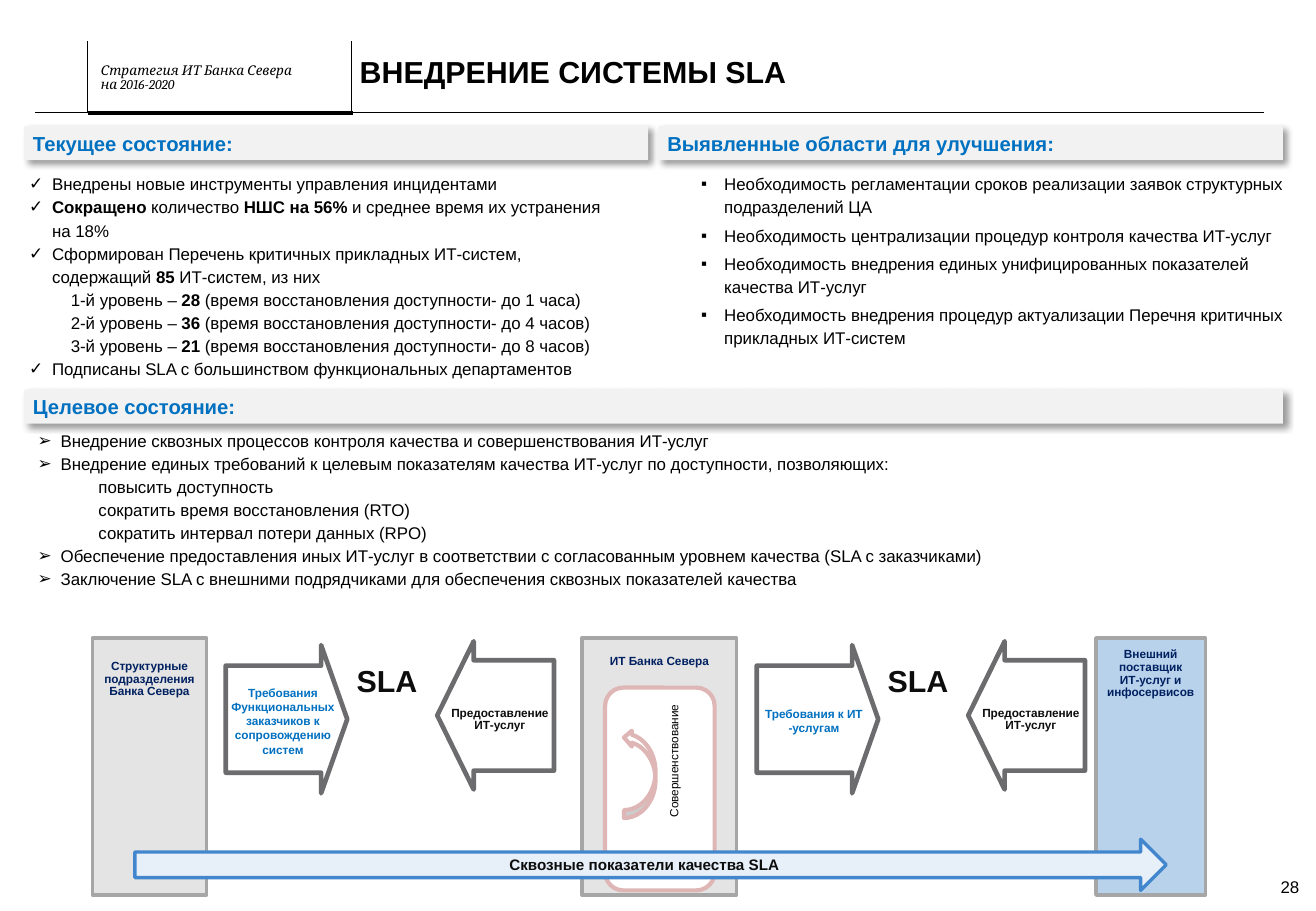
from lxml import etree
from pptx import Presentation
from pptx.dml.color import RGBColor
from pptx.enum.shapes import MSO_CONNECTOR, MSO_SHAPE
from pptx.enum.text import MSO_ANCHOR, MSO_AUTO_SIZE, PP_ALIGN
from pptx.oxml import parse_xml
from pptx.oxml.ns import nsdecls, qn
from pptx.util import Cm, Pt

LEFT, CENTER = PP_ALIGN.LEFT, PP_ALIGN.CENTER
TOP, MIDDLE = MSO_ANCHOR.TOP, MSO_ANCHOR.MIDDLE
NO_AUTOFIT = MSO_AUTO_SIZE.NONE
STRAIGHT = MSO_CONNECTOR.STRAIGHT
RECTANGLE, ROUNDED = MSO_SHAPE.RECTANGLE, MSO_SHAPE.ROUNDED_RECTANGLE
ARROW, CYCLE = MSO_SHAPE.RIGHT_ARROW, MSO_SHAPE.CURVED_UP_ARROW

COLORS = {
    "black": "000000", "ink": "0D0D0D", "blue": "0070C0", "navy": "002060",
    "white": "FFFFFF", "band": "F2F2F2", "block": "E4E4E4", "supplier": "B8D2EC",
    "block_line": "A6A6A6", "arrow_line": "6C6C6E", "cycle_line": "DEB6B5",
    "ribbon": "E7F0F9", "ribbon_line": "4287CD",
}
SUBITEM = ""
EXCHANGE_STEP = 11.1

HEADER_RULES = [
    ((1.83, 2.34), (0.74, 2.34), 0.25),
    ((7.37, 2.36), (1.83, 2.36), 2.25),
    ((26.42, 2.34), (7.32, 2.34), 0.25),
    ((1.83, 2.36), (1.83, 0.86), 0.25),
    ((7.34, 2.36), (7.34, 0.86), 0.25),
]
SECTIONS = [
    ("Текущее состояние:", (0.51, 2.64, 13.04, 0.71)),
    ("Выявленные области для улучшения:", (13.77, 2.64, 13.05, 0.71)),
    ("Целевое состояние:", (0.51, 8.15, 26.31, 0.71)),
]
CURRENT_STATE = [
    ("✓", "Внедрены новые инструменты управления инцидентами"),
    ("✓", "**Сокращено** количество **НШС на 56% **и среднее время их устранения на 18%"),
    ("✓", "Сформирован Перечень критичных прикладных ИТ-систем, "
          "содержащий **85** ИТ-систем, из них"),
    (SUBITEM, "1-й уровень – **28 **(время восстановления доступности- до 1 часа)"),
    (SUBITEM, "2-й уровень – **36 **(время восстановления доступности- до 4 часов)"),
    (SUBITEM, "3-й уровень – **21 **(время восстановления доступности- до 8 часов)"),
    ("✓", "Подписаны SLA с большинством функциональных департаментов"),
]
IMPROVEMENTS = [
    ("▪", "Необходимость регламентации сроков реализации заявок структурных подразделений ЦА"),
    ("▪", "Необходимость централизации процедур контроля качества ИТ-услуг"),
    ("▪", "Необходимость внедрения единых унифицированных показателей качества ИТ-услуг"),
    ("▪", "Необходимость внедрения процедур актуализации Перечня критичных "
          "прикладных ИТ-систем"),
]
TARGET_STATE = [
    ("➢", "Внедрение сквозных процессов контроля качества и совершенствования ИТ-услуг"),
    ("➢", "Внедрение единых требований к целевым показателям качества ИТ-услуг "
          "по доступности, позволяющих:"),
    (SUBITEM, "повысить доступность"),
    (SUBITEM, "сократить время восстановления (RTO)"),
    (SUBITEM, "сократить интервал потери данных (RPO)"),
    ("➢", "Обеспечение предоставления иных ИТ-услуг в соответствии с согласованным "
          "уровнем качества (SLA с заказчиками)"),
    ("➢", "Заключение SLA с внешними подрядчиками для обеспечения сквозных "
          "показателей качества"),
]
PARTIES = [
    (["ИТ Банка Севера"], 12.17, 3.23, "block", 0.37),
    (["Структурные подразделения Банка Севера"], 1.93, 2.39, "block", 0.47),
    (["Внешний поставщик", "ИТ-услуг и инфосервисов"], 22.91, 2.29, "supplier", 0.22),
]
DEMANDS = [
    "Требования Функциональных заказчиков к сопровождению систем",
    "Требования к ИТ -услугам",
]


def rgb(name):
    """Return the named colour."""
    return RGBColor.from_string(COLORS[name])


def set_frame(frame, margins=(0, 0, 0, 0), anchor=TOP):
    """Set margins, anchor and wrapping of a text frame."""
    frame.word_wrap = True
    frame.auto_size = NO_AUTOFIT
    frame.vertical_anchor = anchor
    frame.margin_left, frame.margin_top, frame.margin_right, frame.margin_bottom = map(Cm, margins)


def style(paragraph, size, color="black", bold=False, italic=False,
          align=LEFT, spacing=1.0, font="Arial"):
    """Format a whole paragraph."""
    paragraph.alignment = align
    paragraph.line_spacing = spacing
    paragraph.font.size = Pt(size)
    paragraph.font.name = font
    paragraph.font.bold = bold
    paragraph.font.italic = italic
    paragraph.font.color.rgb = rgb(color)


def write(frame, lines, **look):
    """Write equally formatted paragraphs into a frame."""
    for index, line in enumerate(lines):
        paragraph = frame.add_paragraph() if index else frame.paragraphs[0]
        paragraph.text = line
        style(paragraph, **look)


def add_label(slide, box, lines, anchor=TOP, rotation=0, **look):
    """Add a text box with plain paragraphs."""
    label = slide.shapes.add_textbox(*map(Cm, box))
    label.rotation = rotation
    set_frame(label.text_frame, anchor=anchor)
    write(label.text_frame, lines, **look)


def add_figure(slide, kind, box, fill, line=None, width=2, rotation=0, adjust=()):
    """Add a filled preset shape with an optional outline."""
    figure = slide.shapes.add_shape(kind, *map(Cm, box))
    figure.shadow.inherit = False
    figure.rotation = rotation
    figure.fill.solid()
    figure.fill.fore_color.rgb = rgb(fill)
    if line:
        figure.line.color.rgb = rgb(line)
        figure.line.width = Pt(width)
    else:
        figure.line.fill.background()
    for index, value in enumerate(adjust):
        figure.adjustments[index] = value
    return figure


def add_rule(slide, start, end, width):
    """Add a straight black line."""
    rule = slide.shapes.add_connector(STRAIGHT, *map(Cm, start + end))
    rule.line.color.rgb = rgb("black")
    rule.line.width = Pt(width)
    etree.SubElement(rule._element.spPr, qn("a:effectLst"))


def add_section(slide, heading, box):
    """Add a section band with a soft shadow."""
    band = add_figure(slide, RECTANGLE, box, "band")
    effects = band._element.spPr.find(qn("a:effectLst"))
    effects.append(parse_xml(
        f'<a:outerShdw {nsdecls("a")} blurRad="{Pt(4)}" dist="{Pt(3)}" dir="2700000" '
        'algn="tl" rotWithShape="0"><a:srgbClr val="000000"><a:alpha val="40000"/>'
        '</a:srgbClr></a:outerShdw>'))
    set_frame(band.text_frame, (0.18, 0.1, 0.18, 0.1))
    write(band.text_frame, [heading], size=12, color="blue", bold=True)


def add_list(slide, box, items, sub_indent=0, gap=0):
    """Add a bulleted list where ** switches bold on and off."""
    frame = slide.shapes.add_textbox(*map(Cm, box)).text_frame
    set_frame(frame)
    for index, (mark, text) in enumerate(items):
        paragraph = frame.add_paragraph() if index else frame.paragraphs[0]
        properties = paragraph._p.get_or_add_pPr()
        properties.set("marL", str(Cm(0.48 if mark else sub_indent)))
        properties.set("indent", str(Cm(-0.48 if mark else 0)))
        if mark:
            etree.SubElement(properties, qn("a:buFont")).set("typeface", "Arial")
            etree.SubElement(properties, qn("a:buChar")).set("char", mark)
        style(paragraph, 10, spacing=1.14)
        paragraph.space_after = Pt(gap)
        for position, part in enumerate(text.split("**")):
            if part:
                run = paragraph.add_run()
                run.text = part
                if position % 2:
                    run.font.bold = True


def add_party(slide, lines, left, width, fill, top_margin):
    """Add the tall block of one party to the agreements."""
    party = add_figure(slide, RECTANGLE, (left, 13.34, width, 5.38), fill, "block_line")
    set_frame(party.text_frame, (0, top_margin, 0, 0))
    write(party.text_frame, lines, size=7, color="navy", bold=True, align=CENTER, spacing=0.9)


def add_exchange(slide, shift, demand):
    """Add a pair of opposing arrows with the SLA between them."""
    small = {"size": 7, "bold": True, "align": CENTER, "anchor": MIDDLE}
    add_figure(slide, ARROW, (4.72 + shift, 13.49, 2.54, 3.1), "white", "arrow_line", 2.75,
               adjust=(0.722, 0.215))
    add_label(slide, (4.57 + shift, 14.05, 2.69, 2.06), [demand], color="blue", **small)
    add_label(slide, (7.19 + shift, 13.94, 1.8, 0.43), ["SLA"], size=18, color="ink",
              bold=True, align=CENTER, spacing=0.9)
    add_figure(slide, ARROW, (9.14 + shift, 13.41, 2.44, 3.1), "white", "arrow_line", 2.75,
               rotation=180, adjust=(0.745, 0.312))
    add_label(slide, (9.42 + shift, 14.02, 2.06, 2.06), ["Предоставление ИТ-услуг"],
              color="ink", spacing=0.9, **small)


def add_title(slide, text):
    """Place and format the slide title."""
    title = slide.shapes.title
    title.left, title.top, title.width, title.height = map(Cm, (7.52, 0.91, 18.44, 1.24))
    set_frame(title.text_frame, anchor=MIDDLE)
    write(title.text_frame, [text], size=18, bold=True, spacing=0.9)


def main():
    """Build the slide and save it."""
    deck = Presentation()
    deck.slide_width, deck.slide_height = Cm(27.51), Cm(19.05)
    slide = deck.slides.add_slide(deck.slide_layouts[5])
    for rule in HEADER_RULES:
        add_rule(slide, *rule)
    add_label(slide, (2.11, 1.35, 5.16, 0.58), ["Стратегия ИТ Банка Севера", "на 2016-2020"],
              anchor=MIDDLE, size=8, italic=True, spacing=0.85, font="Cambria")
    add_title(slide, "ВНЕДРЕНИЕ СИСТЕМЫ SLA")
    add_label(slide, (26.42, 18.03, 1.09, 1.02), ["28"], anchor=MIDDLE, size=10, align=CENTER)
    for heading, box in SECTIONS:
        add_section(slide, heading, box)
    add_list(slide, (0.61, 3.58, 12.27, 5.08), CURRENT_STATE, sub_indent=0.87)
    add_list(slide, (14.66, 3.58, 12.19, 4.06), IMPROVEMENTS, gap=3)
    add_list(slide, (0.79, 8.94, 26.49, 3.43), TARGET_STATE, sub_indent=1.27)
    for party in PARTIES:
        add_party(slide, *party)
    add_figure(slide, ROUNDED, (12.65, 14.38, 2.29, 4.24), "white", "cycle_line", 2.5)
    add_figure(slide, CYCLE, (12.45, 15.85, 1.85, 0.66), "white", "cycle_line", 2.5, rotation=270)
    add_label(slide, (12.88, 15.49, 2.69, 0.51), ["Совершенствование"], rotation=270,
              size=7, spacing=0.9)
    for index, demand in enumerate(DEMANDS):
        add_exchange(slide, index * EXCHANGE_STEP, demand)
    ribbon = add_figure(slide, ARROW, (2.82, 17.55, 21.56, 1.07), "ribbon", "ribbon_line")
    set_frame(ribbon.text_frame, (0.1, 0.1, 0.1, 0.1), MIDDLE)
    write(ribbon.text_frame, ["Сквозные показатели качества SLA"], size=9, color="ink",
          bold=True, align=CENTER)
    deck.save("out.pptx")


if __name__ == "__main__":
    main()
